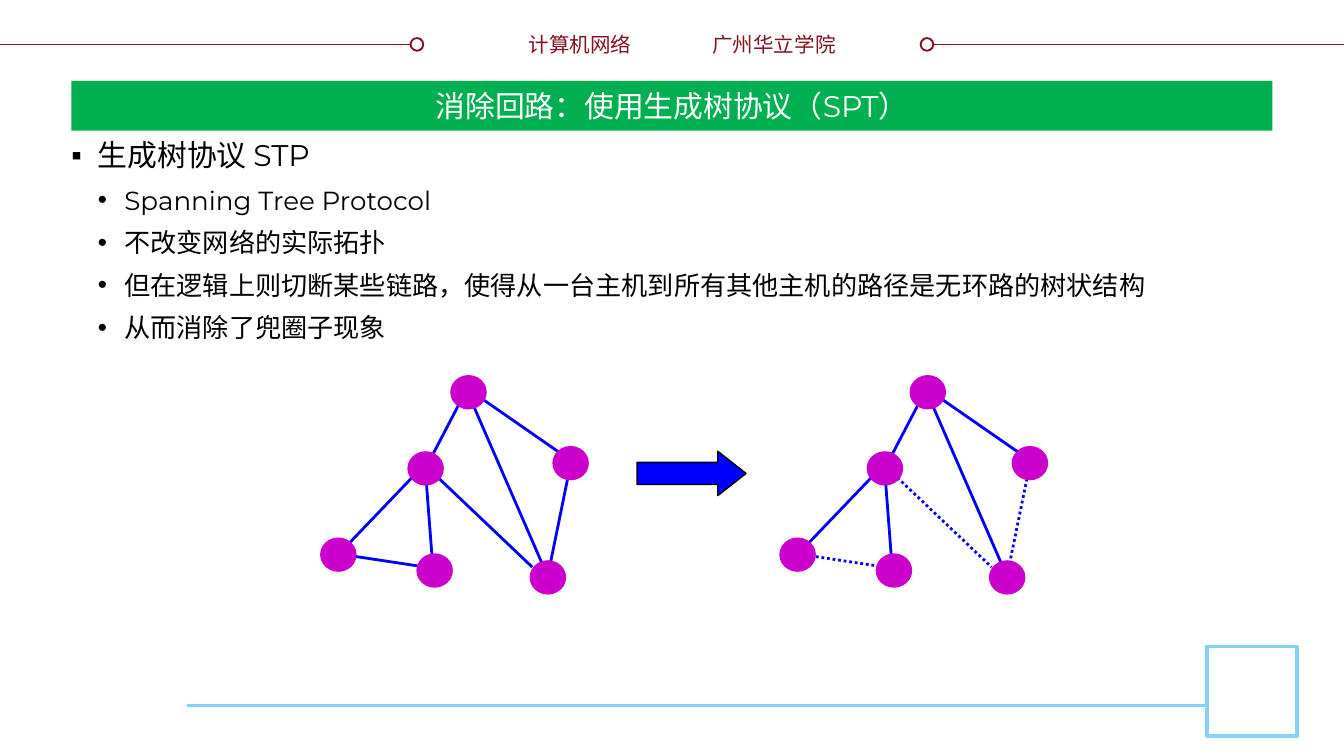
import pptx
import pptx.util
import pptx.dml.color
import pptx.enum.dml
import pptx.enum.shapes
import pptx.enum.text
import pptx.oxml.ns
from lxml import etree

Cm, Pt = pptx.util.Cm, pptx.util.Pt
SHAPE = pptx.enum.shapes.MSO_SHAPE
ALIGN = pptx.enum.text.PP_ALIGN
qn = pptx.oxml.ns.qn

LATIN, CJK = "Montserrat", "Noto Sans CJK SC"
COLORS = {
    "white": "FFFFFF", "black": "000000", "maroon": "7F131F", "sky": "85D1F7",
    "green": "00B050", "blue": "0000FF", "purple": "CC00CC",
}

# Content: lengths in cm
TITLE = "消除回路：使用生成树协议（SPT）"
HEADERS = [  # text, left, width, alignment
    ("计算机网络", 9.73, 2.46, ALIGN.RIGHT),
    ("广州华立学院", 13.21, 2.95, ALIGN.LEFT),
]
BULLETS = [  # level, text
    (0, "生成树协议 STP"),
    (1, "Spanning Tree Protocol"),
    (1, "不改变网络的实际拓扑"),
    (1, "但在逻辑上则切断某些链路，使得从一台主机到所有其他主机的路径是无环路的树状结构"),
    (1, "从而消除了兜圈子现象"),
]
LEVELS = [("▪", 16), ("•", 14)]  # bullet, point size
INDENT = 0.5
NODE_SIZE = (0.69, 0.65)
NODES = [(8.51, 7.09), (10.44, 8.43), (10.01, 10.59),
         (6.05, 10.16), (7.87, 10.46), (7.70, 8.53)]
LINKS = [  # x1, y1, x2, y2, cut by the spanning tree
    (8.79, 7.42, 8.05, 8.84, False),
    (8.94, 7.42, 10.77, 8.69, False),
    (8.05, 8.81, 10.06, 10.72, True),
    (10.77, 8.84, 10.36, 10.85, True),
    (8.94, 7.65, 10.24, 10.64, False),
    (6.53, 10.34, 7.87, 8.94, False),
    (8.18, 10.72, 8.03, 8.76, False),
    (8.05, 10.72, 6.53, 10.49, True),
]
TREE_SHIFT = 8.68


def rgb(name):
    return pptx.dml.color.RGBColor.from_string(COLORS[name])


def add_shape(shapes, kind, box, fill, line=None, width=1):
    s = shapes.add_shape(kind, *map(Cm, box))
    s.shadow.inherit = False
    s.fill.solid()
    s.fill.fore_color.rgb = rgb(fill)
    if line:
        s.line.color.rgb = rgb(line)
        s.line.width = Pt(width)
    else:
        s.line.fill.background()
    return s


def add_line(shapes, x1, y1, x2, y2, color, width):
    c = shapes.add_connector(pptx.enum.shapes.MSO_CONNECTOR.STRAIGHT,
                             *map(Cm, (x1, y1, x2, y2)))
    c.line.color.rgb = rgb(color)
    c.line.width = Pt(width)
    etree.SubElement(c.element.spPr, qn("a:effectLst"))
    return c


def format_paragraph(p, size, color, align, latin=LATIN):
    p.alignment = align
    for r in p.runs:
        r.font.size = Pt(size)
        r.font.name = latin
        r.font.color.rgb = rgb(color)
        etree.SubElement(r.font._element, qn("a:ea"), typeface=CJK)


def add_network(shapes, shift, pruned):
    group = shapes.add_group_shape().shapes
    for x1, y1, x2, y2, cut in LINKS:
        c = add_line(group, x1 + shift, y1, x2 + shift, y2, "blue", 1.5)
        if cut and pruned:
            c.line.dash_style = pptx.enum.dml.MSO_LINE.ROUND_DOT
    for x, y in NODES:
        add_shape(group, SHAPE.OVAL, (x + shift, y, *NODE_SIZE), "purple")


prs = pptx.Presentation()
prs.slide_width, prs.slide_height = Cm(25.4), Cm(14.29)
shapes = prs.slides.add_slide(prs.slide_layouts[6]).shapes

# Header lines with ring ends, and names between them
for x1, x2, ring in [(0, 8, 7.76), (17.4, 25.4, 17.4)]:
    add_line(shapes, x1, 0.84, x2, 0.84, "maroon", 1)
    add_shape(shapes, SHAPE.OVAL, (ring, 0.72, 0.24, 0.24), "white", "maroon")
for text, left, width, align in HEADERS:
    tf = shapes.add_textbox(Cm(left), Cm(0.46), Cm(width), Cm(0.74)).text_frame
    tf.text = text
    tf.word_wrap = align == ALIGN.LEFT
    tf.vertical_anchor = pptx.enum.text.MSO_ANCHOR.MIDDLE
    format_paragraph(tf.paragraphs[0], 11, "maroon", align, CJK)

# Footer line and square
add_line(shapes, 3.53, 13.34, 22.81, 13.34, "sky", 1.5)
add_shape(shapes, SHAPE.RECTANGLE, (22.81, 12.22, 1.7, 1.7), "white", "sky", 2)

# Full network, arrow, spanning tree
arrow = add_shape(shapes, SHAPE.RIGHT_ARROW, (12.04, 8.53, 2.06, 0.84),
                  "blue", "black", 0.75)
arrow.adjustments[1] = 0.635
add_network(shapes, 0, pruned=False)
add_network(shapes, TREE_SHIFT, pruned=True)

# Title band
band = add_shape(shapes, SHAPE.RECTANGLE, (1.35, 1.53, 22.7, 0.94), "green")
tf = band.text_frame
tf.text = TITLE
tf.vertical_anchor = pptx.enum.text.MSO_ANCHOR.MIDDLE
format_paragraph(tf.paragraphs[0], 16, "white", ALIGN.CENTER)

# Bullet list
tf = shapes.add_textbox(Cm(1.35), Cm(2.49), Cm(22.7), Cm(10.29)).text_frame
tf.word_wrap = True
tf.margin_left = tf.margin_right = 0
tf.margin_top = tf.margin_bottom = Cm(0.1)
tf.text = "\n".join(text for level, text in BULLETS)
for p, (level, text) in zip(tf.paragraphs, BULLETS):
    bullet, size = LEVELS[level]
    p.level = level
    p.line_spacing = Pt(1.2 * size)
    p.space_after = Pt(6)
    pPr = p._p.get_or_add_pPr()
    pPr.set("marL", str(Cm(INDENT * (level + 1))))
    pPr.set("indent", str(-Cm(INDENT)))
    etree.SubElement(pPr, qn("a:buFont"), typeface="Arial")
    etree.SubElement(pPr, qn("a:buChar"), char=bullet)
    format_paragraph(p, size, "black", ALIGN.JUSTIFY)

prs.save("out.pptx")
